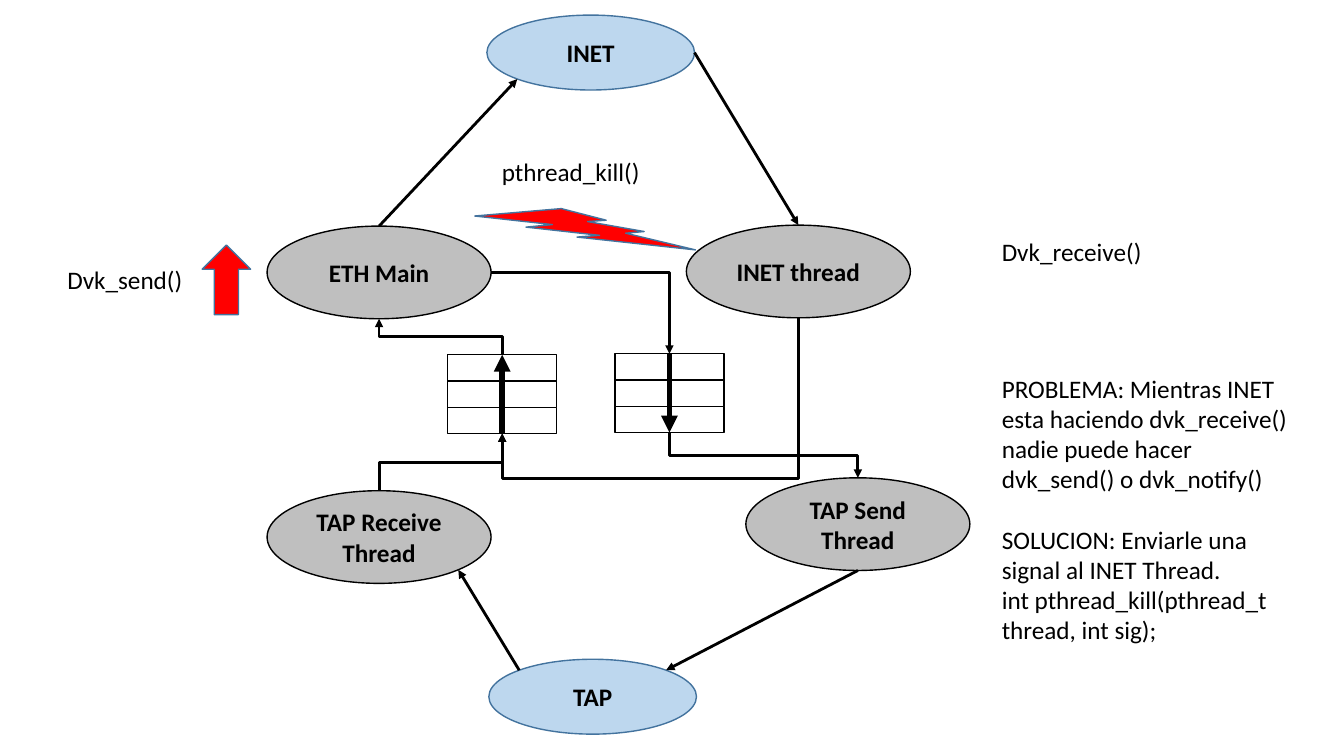
from lxml import etree
from pptx import Presentation, util as u
from pptx.dml import color
from pptx.enum import shapes, text
from pptx.oxml import ns

FONT, SIZE = "Calibri", 18
BLACK, WHITE, RED, BLUE = "000000", "FFFFFF", "FF0000", "43739E"

# Content: name -> (label lines, left, top)
ENDPOINTS = {
    "inet": (["INET"], 347.8, 10.8),
    "tap": (["TAP"], 349.2, 470.9),
}
THREADS = {
    "eth": (["ETH Main"], 190.8, 161.5),
    "receive": (["TAP Receive", "Thread"], 190.8, 350.5),
    "inet_thread": (["INET thread"], 490.3, 160.8),
    "send": (["TAP Send", "Thread"], 532.8, 341.3),
}
# Kind of node: (nodes, width, height, fill, line)
NODE_KINDS = [
    (ENDPOINTS, 148.3, 53.5, "BDD7EE", BLUE),
    (THREADS, 160, 66.2, "BFBFBF", BLACK),
]
# Queues: name -> (left, top, arrow points up)
QUEUES = {"up": (319.7, 253.4, True), "down": (439.2, 252.7, False)}
CELL_W, CELL_H, CELLS = 78, 18.75, 3

STRAIGHT = [
    (("eth", "top"), ("inet", "bottom left")),
    (("inet", "right"), ("inet_thread", "top")),
    (("tap", "top left"), ("receive", "bottom right")),
    (("send", "bottom"), ("tap", "top right")),
]
# Elbows that leave vertically: start, end, place of the bend
ELBOWS = [
    (("inet_thread", "bottom"), ("up", "bottom"), 1.39),
    (("down", "bottom"), ("send", "top"), 0.5),
    (("receive", "top"), ("up", "bottom"), 0.5),
    (("up", "top"), ("eth", "bottom"), 0.5),
]
# Text boxes: left, top, width, height, wraps, paragraphs (text, space before)
NOTES = [
    (708.5, 262.8, 229.7, 269.3, True, [
        ("PROBLEMA: Mientras INET esta haciendo dvk_receive() nadie puede hacer "
         "dvk_send() o dvk_notify()", 0),
        ("SOLUCION: Enviarle una signal al INET Thread.", 21.6),
        ("int pthread_kill(pthread_t thread, int sig);", 0)]),
    (41, 185, 98, 29, False, [("Dvk_send()", 0)]),
    (708.5, 164.9, 116, 29, False, [("Dvk_receive()", 0)]),
    (351.4, 108, 116, 29, False, [("pthread_kill()", 0)]),
]
# Red signs: shape, left, top, width, height
SIGNS = [
    (shapes.MSO_SHAPE.UP_ARROW, 144.4, 175, 34.6, 49.7),
    (shapes.MSO_SHAPE.LIGHTNING_BOLT, 339.1, 149, 157.7, 29.5),
]

deck = Presentation()
deck.slide_width, deck.slide_height = u.Pt(960), u.Pt(540)
page = deck.slides.add_slide(deck.slide_layouts[6])
bounds = {}


def rgb(value):
    return color.RGBColor.from_string(value)


def add_box(parent, kind, left, top, width, height, fill, line):
    box = parent.add_shape(kind, u.Pt(left), u.Pt(top), u.Pt(width), u.Pt(height))
    box.shadow.inherit = False
    box.fill.solid()
    box.fill.fore_color.rgb = rgb(fill)
    box.line.color.rgb = rgb(line)
    box.line.width = u.Pt(1)
    return box


def write(frame, paragraphs, align, bold=False):
    for index, (words, before) in enumerate(paragraphs):
        para = frame.paragraphs[0] if index == 0 else frame.add_paragraph()
        para.alignment = align
        if before:
            para.space_before = u.Pt(before)
        span = para.add_run()
        span.text = words
        span.font.name, span.font.size, span.font.bold = FONT, u.Pt(SIZE), bold
        span.font.color.rgb = rgb(BLACK)


def site(name, side):
    """Point on the edge of a node or queue; diagonal sites lie at 45 degrees."""
    left, top, width, height = bounds[name]
    reach = 0.3536 if " " in side else 0.5
    across = ("right" in side) - ("left" in side)
    down = ("bottom" in side) - ("top" in side)
    return left + width * (0.5 + reach * across), top + height * (0.5 + reach * down)


def add_arrow(parent, kind, start, end, weight=2):
    arrow = parent.add_connector(kind, *(u.Pt(value) for value in (*start, *end)))
    arrow.line.color.rgb = rgb(BLACK)
    arrow.line.width = u.Pt(weight)
    etree.SubElement(arrow.line._get_or_add_ln(), ns.qn("a:tailEnd"), type="triangle")
    etree.SubElement(arrow._element.spPr, ns.qn("a:effectLst"))
    return arrow


def add_vertical_elbow(start, end, bend):
    """An elbow turned by 90 degrees about its middle, so it leaves vertically."""
    (x1, y1), (x2, y2) = start, end
    mid_x, mid_y, dx, dy = (x1 + x2) / 2, (y1 + y2) / 2, x2 - x1, y2 - y1
    arrow = add_arrow(page.shapes, shapes.MSO_CONNECTOR.ELBOW,
                      (mid_x - dy / 2, mid_y + dx / 2), (mid_x + dy / 2, mid_y - dx / 2))
    properties = arrow._element.spPr
    properties.find(ns.qn("a:xfrm")).set("rot", "5400000")
    guides = properties.find(ns.qn("a:prstGeom")).get_or_add_avLst()
    etree.SubElement(guides, ns.qn("a:gd"), name="adj1", fmla=f"val {round(bend * 100000)}")


# Nodes
for nodes, width, height, fill, line in NODE_KINDS:
    for name, (lines, left, top) in nodes.items():
        bounds[name] = left, top, width, height
        node = add_box(page.shapes, shapes.MSO_SHAPE.OVAL, *bounds[name], fill, line)
        node.text_frame.vertical_anchor = text.MSO_ANCHOR.MIDDLE
        write(node.text_frame, [(words, 0) for words in lines], text.PP_ALIGN.CENTER, True)

# Queues with their direction arrows
for name, (left, top, upward) in QUEUES.items():
    bounds[name] = left, top, CELL_W, CELL_H * CELLS
    queue = page.shapes.add_group_shape().shapes
    for row in range(CELLS):
        add_box(queue, shapes.MSO_SHAPE.RECTANGLE, left, top + row * CELL_H,
                CELL_W, CELL_H, WHITE, BLACK)
    ends = [site(name, "top"), site(name, "bottom")]
    add_arrow(queue, shapes.MSO_CONNECTOR.STRAIGHT, *(ends[::-1] if upward else ends), 4)

# Arrows between the parts
for start, end in STRAIGHT:
    add_arrow(page.shapes, shapes.MSO_CONNECTOR.STRAIGHT, site(*start), site(*end))
for start, end, bend in ELBOWS:
    add_vertical_elbow(site(*start), site(*end), bend)
corner = add_arrow(page.shapes, shapes.MSO_CONNECTOR.ELBOW,
                   site("eth", "right"), site("down", "top"))
corner._element.spPr.find(ns.qn("a:prstGeom")).set("prst", "bentConnector2")

# Red signs and notes
for kind, *place in SIGNS:
    add_box(page.shapes, kind, *place, RED, BLUE)
for *place, wraps, paragraphs in NOTES:
    note = page.shapes.add_textbox(*(u.Pt(value) for value in place))
    note.text_frame.word_wrap = wraps
    write(note.text_frame, paragraphs, text.PP_ALIGN.LEFT)

deck.save("out.pptx")
